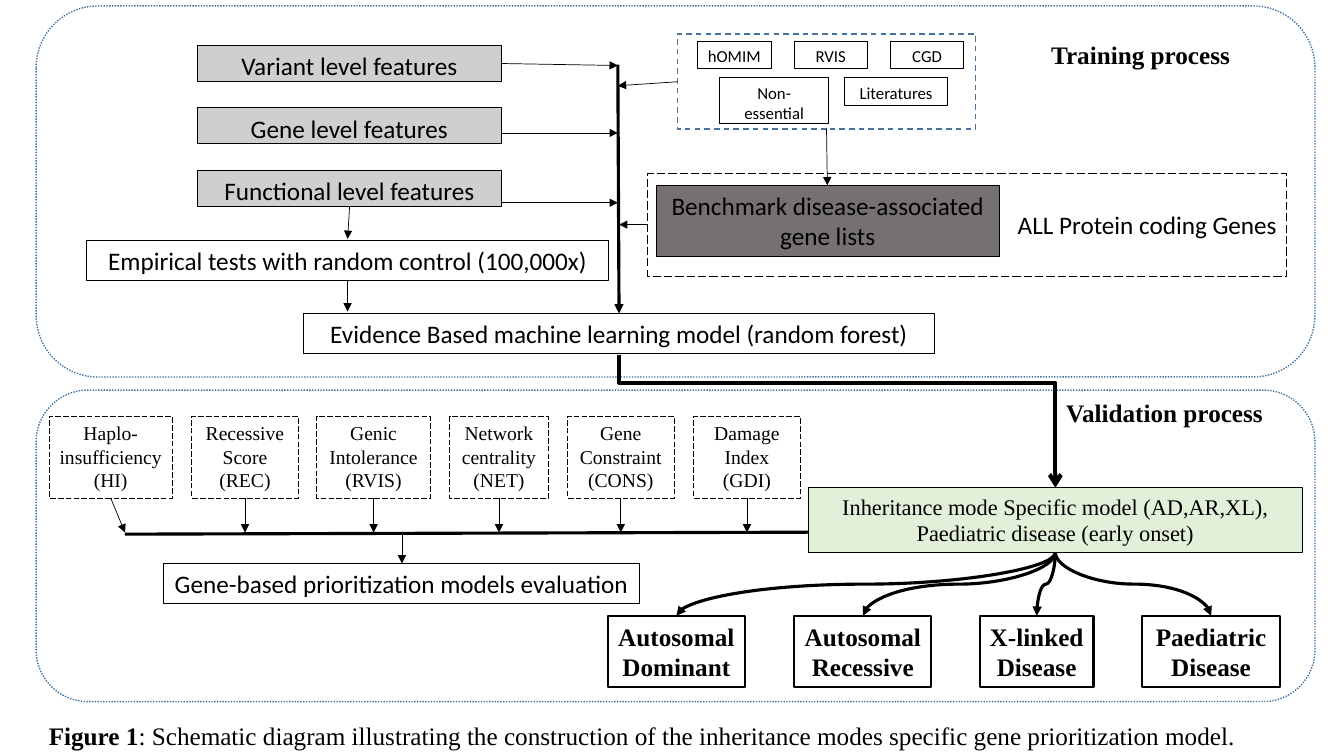
"""Build the gene prioritization workflow slide."""
from lxml.etree import SubElement
from pptx import Presentation
from pptx.dml.color import RGBColor
from pptx.enum.dml import MSO_LINE
from pptx.enum.shapes import MSO_CONNECTOR, MSO_SHAPE
from pptx.enum.text import MSO_ANCHOR, PP_ALIGN
from pptx.oxml.ns import qn
from pptx.util import Cm, Pt

COLORS = {"ink": "000000", "panel": "43739E", "feature": "D0CECE",
          "benchmark": "767171", "model": "E2F0D9"}
SANS, SERIF = "Calibri", "Times New Roman"

PANELS = [(0.91, 0.15, 32.23, 9.35), (0.91, 9.83, 32.23, 7.85)]
HEADINGS = [("Training process", 26.24, 0.86), ("Validation process", 26.62, 9.88)]
FEATURES = ["Variant level features", "Gene level features", "Functional level features"]
DATABASES = ["hOMIM", "RVIS", "CGD"]
OTHER_SOURCES = [("Non-essential", (18.14, 1.96, 2.74, 1.14)),
                 ("Literatures", (21.29, 1.96, 2.59, 0.69))]
SOURCE_PANEL = (17.07, 0.86, 7.52, 2.39)
ALL_GENES = (16.33, 4.37, 16.1, 2.59)
BENCHMARK = (16.54, 4.67, 8.64, 1.8)
STEPS = [("Empirical tests with random control (100,000x)", (2.18, 6.05, 13.16, 1.02), 0.25),
         ("Evidence Based machine learning model (random forest)", (7.65, 7.9, 15.9, 1.02), 0.75),
         ("Gene-based prioritization models evaluation", (4.11, 14.2, 12.01, 1.02), 0.75)]
SCORES = [("Haplo-insufficiency\n(HI)", 1.24, 3.1, 0.36),
          ("Recessive\nScore\n(REC)", 4.83, 2.69, 0),
          ("Genic\nIntolerance\n(RVIS)", 7.98, 2.87, 0),
          ("Network\ncentrality\n(NET)", 11.33, 2.49, 0),
          ("Gene\nConstraint\n(CONS)", 14.3, 2.69, 0),
          ("Damage\nIndex\n(GDI)", 17.48, 2.69, 0)]
MODEL = (20.37, 12.29, 12.45, 1.63)
MODEL_TEXT = "Inheritance mode Specific model (AD,AR,XL),\nPaediatric disease (early onset)"
OUTCOMES = [("Autosomal Dominant", 15.32, 3.45), ("Autosomal Recessive", 20.02, 3.45),
            ("X-linked Disease", 24.69, 2.87), ("Paediatric Disease", 28.78, 3.48)]
THIN_ARROWS = [(8.81, 5.21, 8.76, 6.02), (8.76, 7.06, 8.76, 7.85),
               (12.62, 1.6, 15.57, 1.65), (12.62, 3.35, 15.57, 3.35),
               (12.62, 5.11, 15.57, 5.11), (17.07, 2.06, 15.57, 2.16),
               (16.33, 5.66, 15.6, 5.66), (20.83, 3.25, 20.85, 4.67),
               (10.13, 13.41, 10.13, 14.2)]
TRUNK = (15.57, 1.63, 15.6, 7.9)
SCORE_LINE = (20.37, 13.41, 3.15, 13.46)
CAPTION = [("Figure 1", True),
           (": Schematic diagram illustrating the construction of the inheritance modes "
            "specific gene prioritization model.", False)]


def rgb(name):
    return RGBColor.from_string(COLORS[name])


def write(sp, text, size, font, bold=False, align=PP_ALIGN.CENTER, anchor=MSO_ANCHOR.TOP):
    tf = sp.text_frame
    tf.word_wrap = True
    tf.vertical_anchor = anchor
    tf.text = text
    for p in tf.paragraphs:
        p.alignment = align
        p.font.size, p.font.name, p.font.bold = Pt(size), font, bold
        p.font.color.rgb = rgb("ink")
    return tf


def box(at, width, fill=None, color="ink", dash=None, kind=MSO_SHAPE.RECTANGLE):
    sp = s.shapes.add_shape(kind, *map(Cm, at))
    sp.shadow.inherit = False
    if fill:
        sp.fill.solid()
        sp.fill.fore_color.rgb = rgb(fill)
    else:
        sp.fill.background()
    sp.line.color.rgb = rgb(color)
    sp.line.width = Pt(width)
    if dash:
        sp.line.dash_style = dash
    return sp


def line(ends, width, head="triangle", kind=MSO_CONNECTOR.STRAIGHT):
    c = s.shapes.add_connector(kind, *map(Cm, ends))
    c.line.color.rgb = rgb("ink")
    c.line.width = Pt(width)
    if head:
        SubElement(c.line._get_or_add_ln(), qn("a:tailEnd"), type=head)
    SubElement(c._element.spPr, qn("a:effectLst"))
    return c


def drop(ends, width, head, kind, bend=0.5):
    x1, y1, x2, y2 = ends
    cx, cy = (x1 + x2) / 2, (y1 + y2) / 2
    half_h, half_w = (y2 - y1) / 2, abs(x2 - x1) / 2
    side = 1 if x2 > x1 else -1
    c = line((cx + side * half_h, cy - half_w, cx - side * half_h, cy + half_w),
             width, head, kind)
    spPr = c._element.spPr
    spPr.find(qn("a:xfrm")).set("rot", str((270 if side > 0 else 90) * 60000))
    guides = spPr.find(qn("a:prstGeom")).find(qn("a:avLst"))
    SubElement(guides, qn("a:gd"), name="adj1", fmla=f"val {round(bend * 100000)}")


prs = Presentation()
prs.slide_width, prs.slide_height = Cm(33.87), Cm(19.05)
s = prs.slides.add_slide(prs.slide_layouts[6])

for at in PANELS:
    box(at, 1, color="panel", dash=MSO_LINE.ROUND_DOT, kind=MSO_SHAPE.ROUNDED_RECTANGLE)
for text, x, y in HEADINGS:
    sp = s.shapes.add_textbox(Cm(x), Cm(y), Cm(5.64), Cm(1.02))
    write(sp, text, 18, SERIF, True, PP_ALIGN.LEFT)

for i, text in enumerate(FEATURES):
    write(box((4.98, 1.14 + i * 1.58, 7.65, 0.91), 0.75, "feature"), text, 18, SANS)
for text, at, width in STEPS:
    write(box(at, width), text, 18, SANS)

box(SOURCE_PANEL, 1, color="panel", dash=MSO_LINE.DASH)
databases = [(text, (17.58 + i * 2.43, 1.04, 1.85, 0.69)) for i, text in enumerate(DATABASES)]
for text, at in databases + OTHER_SOURCES:
    write(box(at, 0.5), text, 12, SANS)
write(box(ALL_GENES, 0.75, dash=MSO_LINE.LONG_DASH), "ALL Protein coding Genes",
      18, SANS, align=PP_ALIGN.RIGHT, anchor=MSO_ANCHOR.MIDDLE)
write(box(BENCHMARK, 0.5, "benchmark"), "Benchmark disease-associated gene lists", 18, SANS)

for ends in THIN_ARROWS:
    line(ends, 0.5)
line(TRUNK, 2.25)
line(SCORE_LINE, 2.25, head=None)
for text, x, w, shift in SCORES:
    write(box((x, 10.49, w, 2.06), 0.5, dash=MSO_LINE.LONG_DASH), text, 14, SERIF)
    line((x + w / 2, 12.55, x + w / 2 + shift, 13.42), 0.5)

write(box(MODEL, 0.75, "model"), MODEL_TEXT, 16, SERIF)
model_x, model_bottom = MODEL[0] + MODEL[2] / 2, MODEL[1] + MODEL[3]
drop((15.6, 8.94, model_x, MODEL[1]), 3, "arrow", MSO_CONNECTOR.ELBOW, 0.21)
for text, x, w in OUTCOMES:
    write(box((x, 15.52, w, 1.8), 1.5), text, 18, SERIF, True)
    drop((model_x, model_bottom, x + w / 2, 15.52), 2.25, "triangle", MSO_CONNECTOR.CURVE)

sp = s.shapes.add_textbox(Cm(0.98), Cm(18.03), Cm(32.5), Cm(1.02))
p = write(sp, "", 18, SERIF, align=PP_ALIGN.LEFT).paragraphs[0]
for text, bold in CAPTION:
    r = p.add_run()
    r.text, r.font.bold = text, bold

prs.save("out.pptx")
